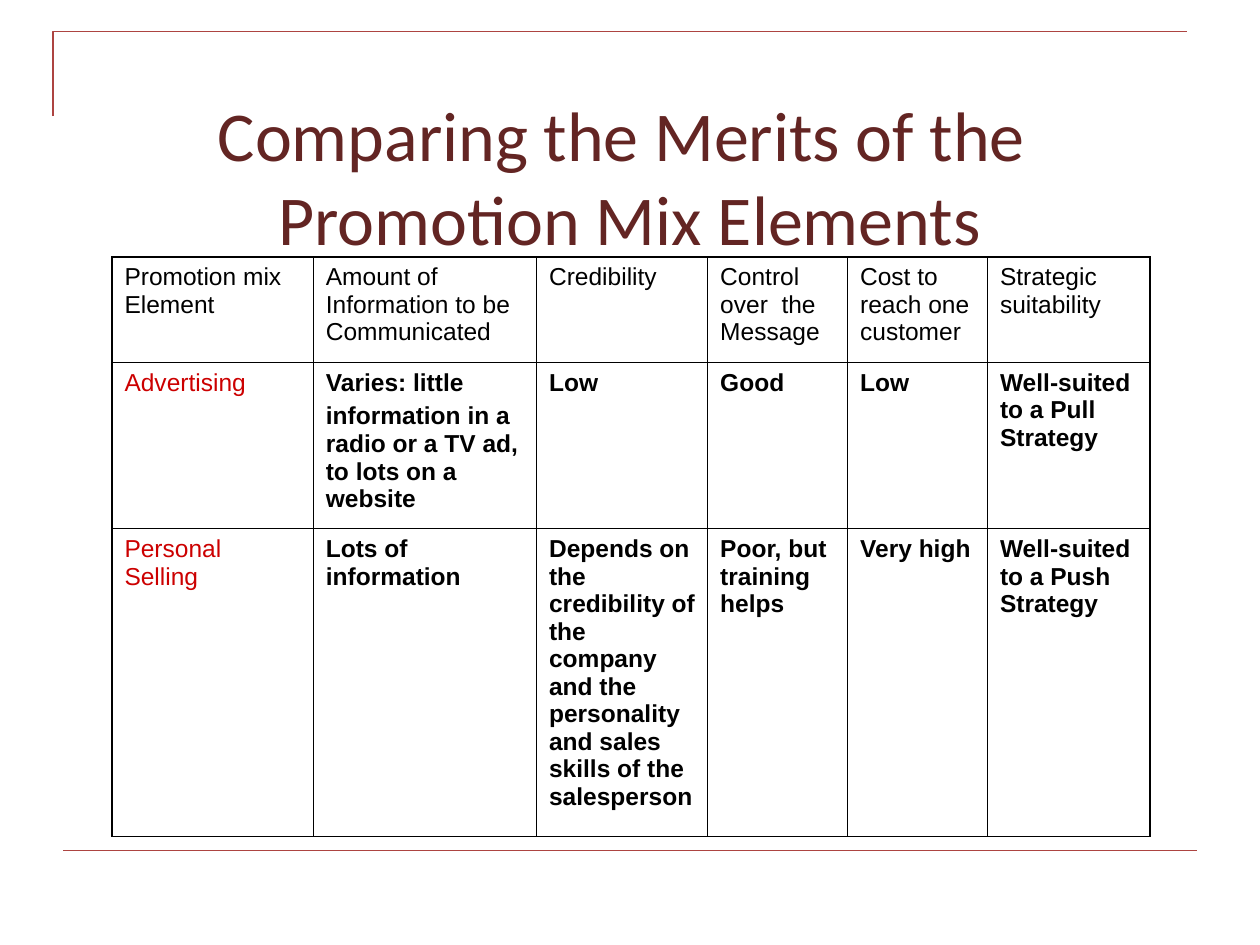
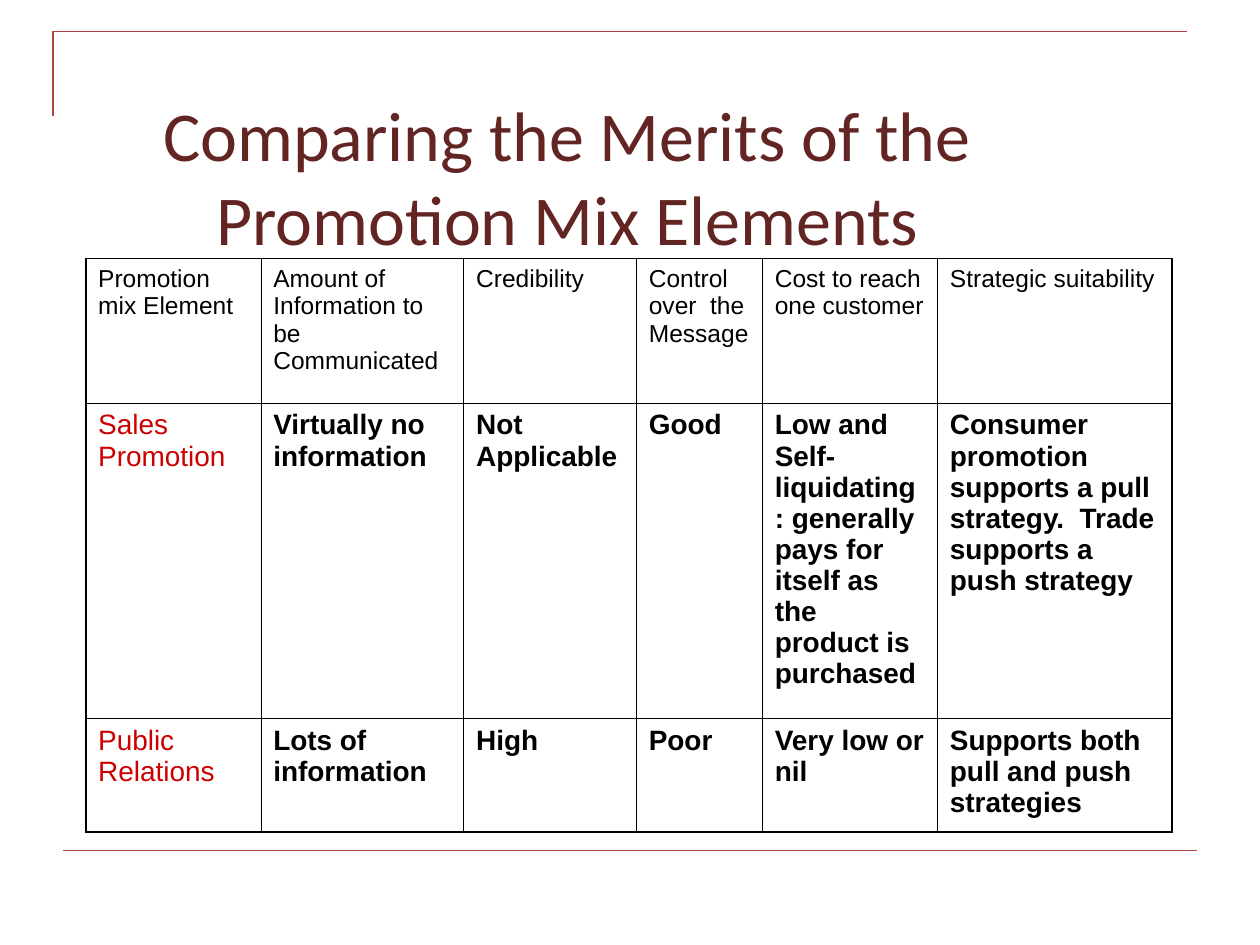
"""Build two slides comparing the merits of the promotion mix elements."""
from dataclasses import dataclass
from typing import Any

from lxml.etree import SubElement
from pptx import Presentation
from pptx.dml.color import RGBColor
from pptx.enum.shapes import MSO_CONNECTOR
from pptx.enum.text import MSO_ANCHOR, PP_ALIGN
from pptx.oxml.ns import qn
from pptx.util import Cm, Pt


@dataclass(frozen=True)
class Theme:
    rule: RGBColor = RGBColor(0xAD, 0x44, 0x41)
    title: RGBColor = RGBColor(0x63, 0x25, 0x23)
    element: RGBColor = RGBColor(0xCC, 0x00, 0x00)
    ink: RGBColor = RGBColor(0x00, 0x00, 0x00)
    title_font: str = "Calibri"
    body_font: str = "Arial"
    title_size: float = 40
    header_size: float = 14
    rule_width: float = 0.75
    outer_border: float = 1.08
    inner_border: float = 0.45


@dataclass(frozen=True)
class Area:
    left: float
    top: float
    width: float
    height: float

    def lengths(self) -> tuple[Cm, ...]:
        return tuple(Cm(value) for value in (self.left, self.top, self.width, self.height))


@dataclass(frozen=True)
class Comparison:
    title: str
    title_area: Area
    left: float
    top: float
    columns: tuple[float, ...]
    rows: tuple[float, ...]
    body_size: float
    elements: tuple[tuple[str, ...], ...]


THEME = Theme()
HEADER = (
    "Promotion mix Element", "Amount of Information to be Communicated", "Credibility",
    "Control over  the Message", "Cost to reach one customer", "Strategic suitability",
)
COMPARISONS = (
    Comparison(
        title="Comparing the Merits of the \vPromotion Mix Elements",
        title_area=Area(0.61, 1.96, 24.16, 2.39),
        left=2.26, top=5.18,
        columns=(4.06, 4.5, 3.45, 2.82, 2.82, 3.28),
        rows=(2.13, 3.35, 6.2),
        body_size=14,
        elements=(
            ("Advertising",
             "Varies: little\ninformation in a radio or a TV ad, to lots on a website",
             "Low", "Good", "Low", "Well-suited to a Pull Strategy"),
            ("Personal Selling", "Lots of information",
             "Depends on the credibility of the company and the personality "
             "and sales skills of the salesperson",
             "Poor, but training helps", "Very high", "Well-suited to a Push Strategy"),
        ),
    ),
    Comparison(
        title="Comparing the Merits of the Promotion Mix Elements",
        title_area=Area(1.27, 2.34, 20.32, 1.6),
        left=1.73, top=5.21,
        columns=(3.53, 4.09, 3.48, 2.54, 3.53, 4.72),
        rows=(2.92, 6.35, 2.29),
        body_size=16,
        elements=(
            ("Sales Promotion", "Virtually no information", "Not Applicable", "Good",
             "Low and Self-liquidating: generally pays for itself as the product is purchased",
             "Consumer promotion supports a pull strategy.  Trade supports a push strategy"),
            ("Public Relations", "Lots of information", "High", "Poor", "Very low or nil",
             "Supports both pull and push strategies"),
        ),
    ),
)


def assign(target: Any, formats: dict[str, Any]) -> None:
    for name, value in formats.items():
        setattr(target, name, value)


def style_font(font: Any, family: str, size: float, color: RGBColor, bold: bool = False) -> None:
    assign(font, {"name": family, "size": Pt(size), "bold": bold})
    font.color.rgb = color


def style_rule(rule: Any) -> None:
    rule.line.color.rgb = THEME.rule
    rule.line.width = Pt(THEME.rule_width)


def draw_frame(page: Any) -> None:
    builder = page.shapes.build_freeform(Cm(1.07), Cm(2.34))
    builder.add_line_segments([(Cm(1.07), Cm(0.64)), (Cm(23.93), Cm(0.64))], close=False)
    corner = builder.convert_to_shape()
    corner.shadow.inherit = False
    corner.fill.background()
    style_rule(corner)
    footer = page.shapes.add_connector(
        MSO_CONNECTOR.STRAIGHT, Cm(1.27), Cm(17.15), Cm(24.13), Cm(17.15))
    style_rule(footer)
    SubElement(footer._element.spPr, qn("a:effectLst"))


def draw_title(page: Any, text: str, area: Area) -> None:
    box = page.shapes.add_textbox(*area.lengths())
    assign(box.text_frame, {
        "word_wrap": True, "vertical_anchor": MSO_ANCHOR.MIDDLE,
        "margin_top": Cm(0.91), "margin_bottom": Cm(0.13), "text": text,
    })
    para = box.text_frame.paragraphs[0]
    para.alignment = PP_ALIGN.CENTER
    for span in para.runs:
        style_font(span.font, THEME.title_font, THEME.title_size, THEME.title)


def draw_borders(cell: Any, outer_sides: dict[str, bool]) -> None:
    properties = cell._tc.get_or_add_tcPr()
    for side, outer in outer_sides.items():
        width = Pt(THEME.outer_border if outer else THEME.inner_border)
        border = SubElement(properties, qn(f"a:ln{side}"), w=str(int(width)))
        fill = SubElement(border, qn("a:solidFill"))
        SubElement(fill, qn("a:srgbClr"), val=str(THEME.ink))


def fill_cell(cell: Any, text: str, size: float, color: RGBColor, bold: bool) -> None:
    assign(cell, {
        "margin_left": Cm(0.25), "margin_right": Cm(0.25),
        "margin_top": Cm(0.13), "margin_bottom": Cm(0.13), "text": text,
    })
    for index, para in enumerate(cell.text_frame.paragraphs):
        if index:
            para.space_before = Pt(size / 4)
        for span in para.runs:
            style_font(span.font, THEME.body_font, size, color, bold)


def draw_table(page: Any, comparison: Comparison) -> None:
    columns, rows = comparison.columns, comparison.rows
    area = Area(comparison.left, comparison.top, sum(columns), sum(rows))
    table = page.shapes.add_table(len(rows), len(columns), *area.lengths()).table
    assign(table, {"first_row": False, "horz_banding": False})
    for column, width in zip(table.columns, columns):
        column.width = Cm(width)
    for row, height in zip(table.rows, rows):
        row.height = Cm(height)
    for row, texts in enumerate((HEADER, *comparison.elements)):
        size = comparison.body_size if row else THEME.header_size
        for column, text in enumerate(texts):
            cell = table.cell(row, column)
            color = THEME.element if row and not column else THEME.ink
            fill_cell(cell, text, size, color, bold=row > 0 and column > 0)
            draw_borders(cell, {
                "L": column == 0, "R": column == len(columns) - 1,
                "T": row == 0, "B": row == len(rows) - 1,
            })
            cell.fill.background()


def main() -> None:
    deck = Presentation()
    assign(deck, {"slide_width": Cm(25.4), "slide_height": Cm(19.05)})
    for comparison in COMPARISONS:
        page = deck.slides.add_slide(deck.slide_layouts[6])
        draw_frame(page)
        draw_title(page, comparison.title, comparison.title_area)
        draw_table(page, comparison)
    deck.save("out.pptx")


if __name__ == "__main__":
    main()
